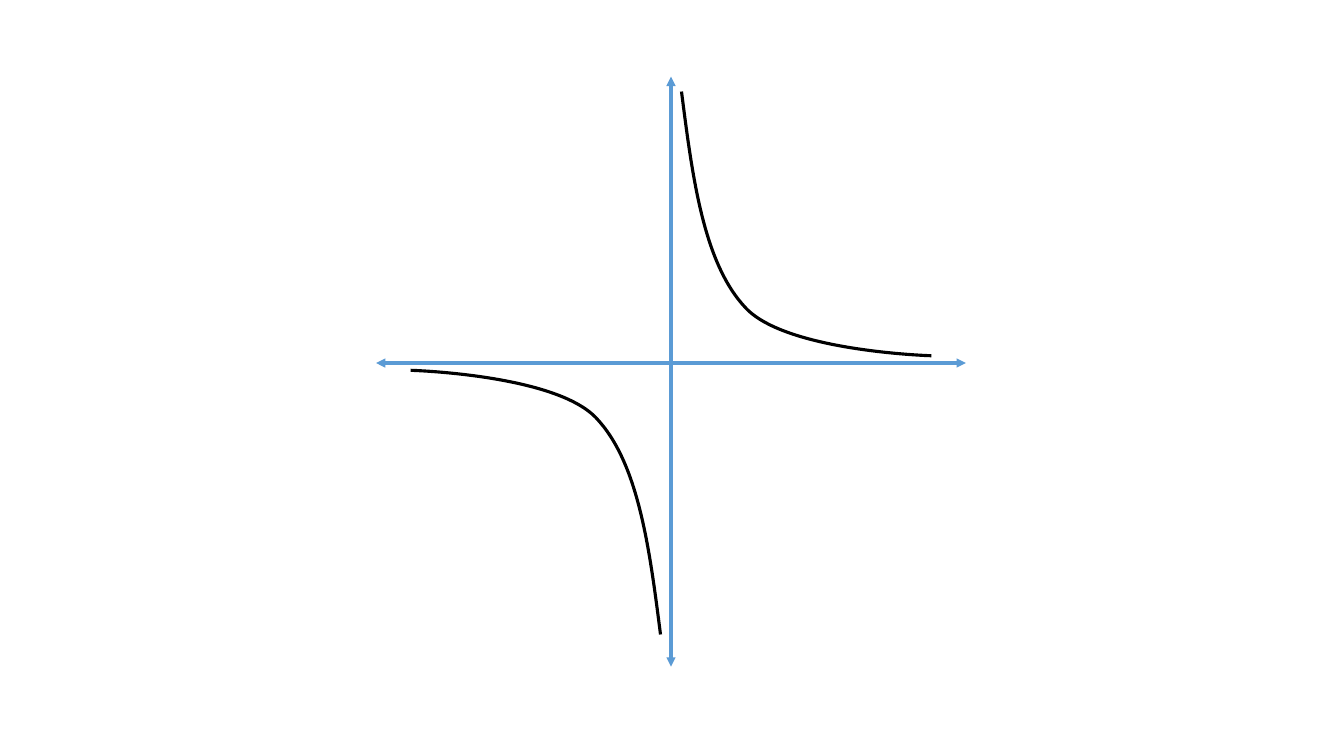
from dataclasses import dataclass

from pptx import Presentation
from pptx.dml.color import RGBColor as Rgb
from pptx.enum.shapes import MSO_CONNECTOR as Link
from pptx.oxml.ns import qn
from pptx.util import Pt
from lxml.etree import SubElement as Sub


@dataclass(frozen=True)
class Theme:
    axis: Rgb = Rgb(0x5B, 0x9B, 0xD5)
    curve: Rgb = Rgb(0, 0, 0)
    weight: float = 2.25


THEME = Theme()
BRANCH = [(7.5, -193.9), (15.4, -132), (23.3, -70.8), (53.6, -39.1),
          (83.1, -8.1), (186, -5.2), (186, -5.2)]


def style(line, color):
    line.color.rgb = color
    line.width = Pt(THEME.weight)


def draw_axis(slide, start, end):
    axis = slide.shapes.add_connector(
        Link.STRAIGHT, *(Pt(n) for n in (*start, *end)))
    style(axis.line, THEME.axis)
    props = axis._element.spPr
    for tip in ("a:headEnd", "a:tailEnd"):
        Sub(props.find(qn("a:ln")), qn(tip), type="triangle")
    Sub(props, qn("a:effectLst"))


def draw_branch(slide, origin, sign):
    spots = [(Pt(origin[0] + sign * x), Pt(origin[1] + sign * y))
             for x, y in BRANCH]
    maker = slide.shapes.build_freeform(*spots[0])
    maker.add_line_segments(spots[1:], close=False)
    curve = maker.convert_to_shape()
    curve.shadow.inherit = False
    curve.fill.background()
    style(curve.line, THEME.curve)
    outline = next(curve._element.iter(qn("a:path")))
    steps = outline.findall(qn("a:lnTo"))
    for first in range(0, len(steps), 3):
        bend = Sub(outline, qn("a:cubicBezTo"))
        for step in steps[first:first + 3]:
            bend.append(step[0])
            outline.remove(step)


def draw_graph(slide, left, top, size):
    origin = left + size / 2, top + 204.5
    draw_axis(slide, (left, origin[1]), (left + size, origin[1]))
    draw_axis(slide, (origin[0], top), (origin[0], top + size))
    for sign in (1, -1):
        draw_branch(slide, origin, sign)


def main():
    deck = Presentation()
    deck.slide_width, deck.slide_height = Pt(960), Pt(540)
    slide = deck.slides.add_slide(deck.slide_layouts[6])
    draw_graph(slide, left=268.6, top=54.8, size=421.4)
    deck.save("out.pptx")


if __name__ == "__main__":
    main()
